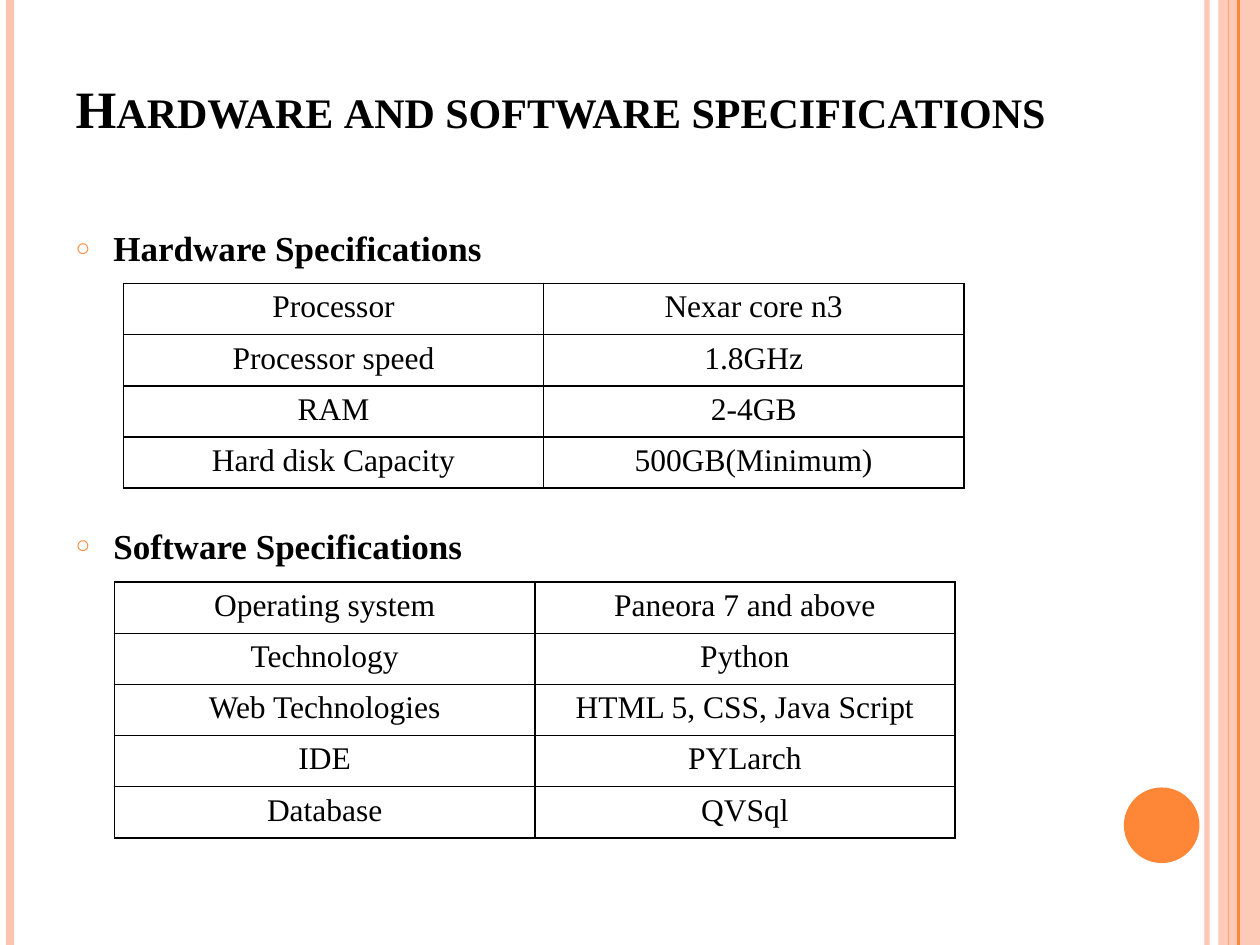
from pptx import Presentation
from pptx.dml.color import RGBColor
from pptx.enum.shapes import MSO_CONNECTOR as CONNECTOR, MSO_SHAPE as SHAPE
from pptx.enum.text import MSO_ANCHOR as ANCHOR, MSO_AUTO_SIZE as AUTO_SIZE, PP_ALIGN as ALIGN
from pptx.oxml import parse_xml
from pptx.oxml.ns import nsdecls, qn
from pptx.util import Inches, Pt

PEACH, ORANGE, BLACK = "FEC3AE", "FE8637", "000000"


def color(hex_string):
    return RGBColor.from_string(hex_string)


def write(paragraph, text, size=18, bold=False, align=ALIGN.LEFT, before=0, small_caps=False):
    paragraph.alignment = align
    paragraph.space_before = Pt(before)
    run = paragraph.add_run()
    run.text = text
    run.font.name = "Times New Roman"
    run.font.size = Pt(size)
    run.font.bold = bold
    run.font.color.rgb = color(BLACK)
    if small_caps:
        run.font._element.set("cap", "small")


prs = Presentation()
prs.slide_width, prs.slide_height = Inches(10), Inches(7.5)
slide = prs.slides.add_slide(prs.slide_layouts[1])
shapes = slide.shapes

# Side stripes: the band lies between the vertical rules
band = shapes.add_shape(SHAPE.RECTANGLE, Inches(9.67), 0, Inches(0.33), Inches(7.5))
dot = shapes.add_shape(SHAPE.OVAL, Inches(8.92), Inches(6.25), Inches(0.6), Inches(0.6))
for ornament, fill in ((band, PEACH), (dot, ORANGE)):
    ornament.shadow.inherit = False
    ornament.fill.solid()
    ornament.fill.fore_color.rgb = color(fill)
    ornament.line.fill.background()
band_color = band._element.spPr.find(qn("a:solidFill"))[0]
band_color.append(parse_xml(f'<a:alpha {nsdecls("a")} val="87000"/>'))

for x, stroke, width in ((9.58, PEACH, 3), (0.08, PEACH, 4.5),
                         (9.83, ORANGE, 1.5), (9.75, ORANGE, 0.75)):
    rule = shapes.add_connector(CONNECTOR.STRAIGHT, Inches(x), 0, Inches(x), Inches(7.5))
    rule.line.color.rgb = color(stroke)
    rule.line.width = Pt(width)
    rule._element.spPr.append(parse_xml(f'<a:effectLst {nsdecls("a")}/>'))
    if x in (9.58, 9.75):
        alpha = 93000 if x == 9.58 else 50000
        rule_color = rule._element.spPr.find(qn("a:ln")).find(qn("a:solidFill"))[0]
        rule_color.append(parse_xml(f'<a:alpha {nsdecls("a")} val="{alpha}"/>'))

# Title
title = shapes.title
title.left, title.top, title.width, title.height = map(Inches, (0.5, 0.3, 8.17, 0.85))
title.text_frame.auto_size = AUTO_SIZE.NONE
title.text_frame.vertical_anchor = ANCHOR.BOTTOM
write(title.text_frame.paragraphs[0], "Hardware and software specifications",
      size=30, bold=True, small_caps=True)

# Section headings, spaced to leave room for the first table
headings = slide.placeholders[1]
headings.left, headings.top, headings.width, headings.height = map(Inches, (0.5, 1.75, 8.17, 5.33))
frame = headings.text_frame
frame.auto_size = AUTO_SIZE.NONE
for i, (heading, before) in enumerate((("Hardware Specifications", 6),
                                       ("Software Specifications", 146))):
    paragraph = frame.add_paragraph() if i else frame.paragraphs[0]
    write(paragraph, heading, size=20, bold=True, before=before)
    props = paragraph._p.get_or_add_pPr()
    props.set("marL", str(Inches(0.3)))
    props.set("indent", str(-Inches(0.3)))
    for bullet in (f'<a:buClr {nsdecls("a")}><a:srgbClr val="{ORANGE}"/></a:buClr>',
                   f'<a:buSzPct {nsdecls("a")} val="70000"/>',
                   f'<a:buChar {nsdecls("a")} char="○"/>'):
        props.append(parse_xml(bullet))

# Specification tables
hardware = (("Processor", "Nexar core n3"),
            ("Processor speed", "1.8GHz"),
            ("RAM", "2-4GB"),
            ("Hard disk Capacity", "500GB(Minimum)"))
software = (("Operating system", "Paneora 7 and above"),
            ("Technology", "Python"),
            ("Web Technologies", "HTML 5, CSS, Java Script"),
            ("IDE", "PYLarch"),
            ("Database", "QVSql"))
row_height = 0.406
for specs, left, top in ((hardware, 0.98, 2.25), (software, 0.91, 4.62)):
    table = shapes.add_table(len(specs), 2, Inches(left), Inches(top),
                             Inches(6.67), Inches(row_height * len(specs))).table
    table.first_row = table.horz_banding = False
    for row, values in zip(table.rows, specs):
        row.height = Inches(row_height)
        for cell, value in zip(row.cells, values):
            write(cell.text_frame.paragraphs[0], value, align=ALIGN.CENTER)
            props = cell._tc.get_or_add_tcPr()
            for side in ("lnL", "lnR", "lnT", "lnB"):
                props.append(parse_xml(
                    f'<a:{side} {nsdecls("a")} w="{Pt(1)}"><a:solidFill>'
                    f'<a:srgbClr val="{BLACK}"/></a:solidFill></a:{side}>'))
            cell.fill.background()

prs.save("out.pptx")
